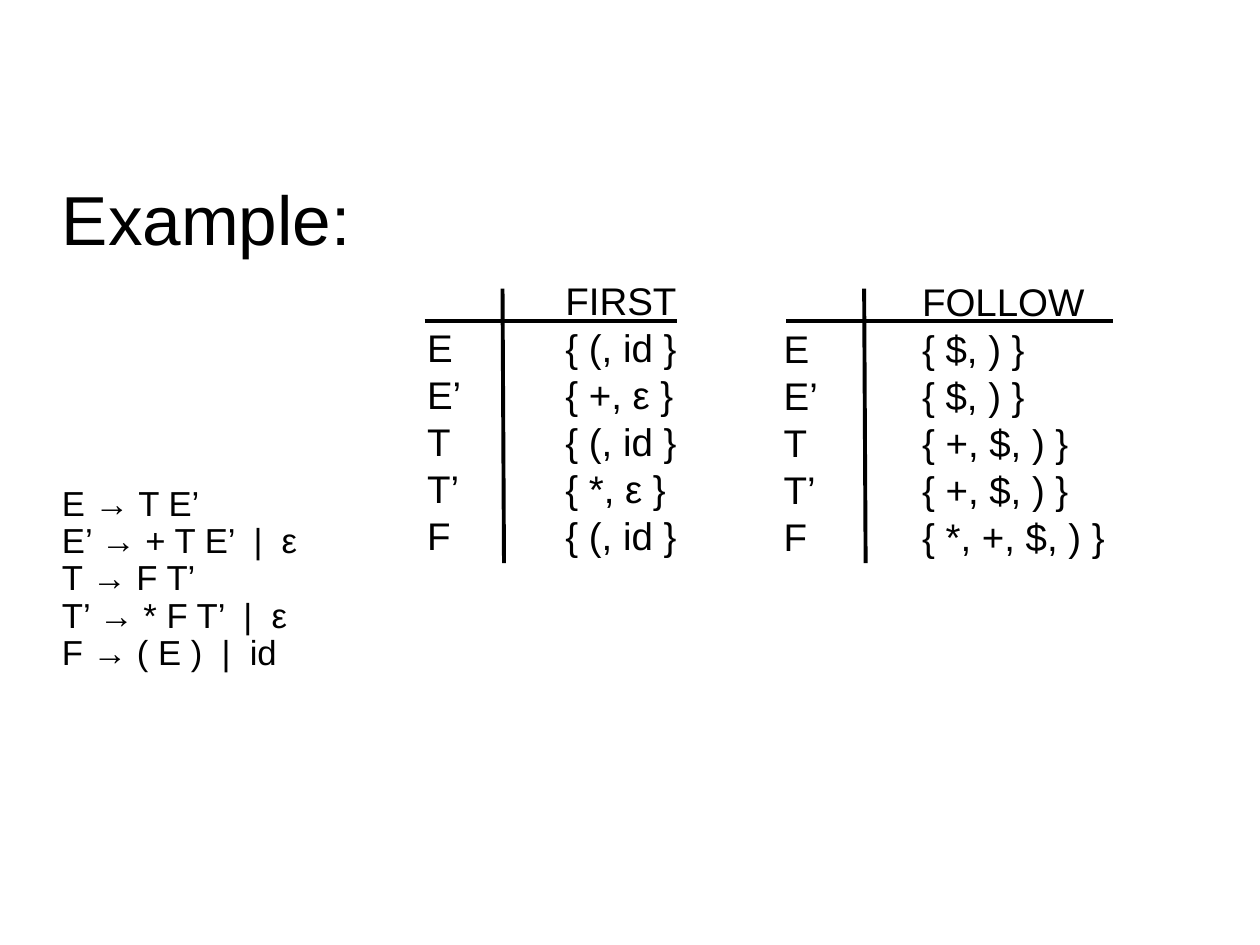
from lxml import etree
from pptx import Presentation
from pptx.dml.color import RGBColor
from pptx.enum.shapes import MSO_CONNECTOR
from pptx.oxml.ns import qn
from pptx.util import Cm, Pt

STRAIGHT = MSO_CONNECTOR.STRAIGHT
BLACK = "000000"
TAB_STOP = Cm(2.79)

GRAMMAR = [
    "E → T E’",
    "E’ → + T E’  |  ε",
    "T → F T’",
    "T’ → * F T’  |  ε",
    "F → ( E )  |  id",
]
NONTERMINALS = ["", "E", "E’", "T", "T’", "F"]
FIRST = ["FIRST", "{ (, id }", "{ +, ε }", "{ (, id }", "{ *, ε }", "{ (, id }"]
FOLLOW = ["FOLLOW", "{ $, ) }", "{ $, ) }", "{ +, $, ) }", "{ +, $, ) }",
          "{ *, +, $, ) }"]

# Box left, top, width; rule left, right; divider x at top and bottom; sets
SET_LISTS = [
    (8.38, 3.56, 6.5, 8.56, 13.64, 10.13, 10.16, FIRST),
    (15.57, 3.58, 8.0, 15.85, 22.43, 17.42, 17.45, FOLLOW),
]

prs = Presentation()
prs.slide_width, prs.slide_height = Cm(25.4), Cm(19.05)
slide = prs.slides.add_slide(prs.slide_layouts[6])


def add_text_frame(left, top, width, height, top_inset):
    frame = slide.shapes.add_textbox(
        Cm(left), Cm(top), Cm(width), Cm(height)).text_frame
    frame.word_wrap = True
    frame.margin_left = frame.margin_right = Cm(0.23)
    frame.margin_top, frame.margin_bottom = Cm(top_inset), Cm(0.1)
    return frame


def add_line(paragraph, text, size, spacing):
    paragraph.line_spacing = spacing
    run = paragraph.add_run()
    run.text = text
    run.font.name = "Arial"
    run.font.size = Pt(size)
    run.font.color.rgb = RGBColor.from_string(BLACK)


example = add_text_frame(1.02, 3.56, 6.5, 10.59, 0.18)
add_line(example.paragraphs[0], "Example:", 39.6, 0.9)
for index, production in enumerate(GRAMMAR):
    paragraph = example.add_paragraph()
    if index == 0:
        paragraph.space_before = Pt(129)
    add_line(paragraph, production, 19.8, 0.9)

for left, top, width, rule_left, rule_right, upper_x, lower_x, sets in SET_LISTS:
    set_list = add_text_frame(left, top, width, 9.47, 2.0)
    for index, (nonterminal, members) in enumerate(zip(NONTERMINALS, sets)):
        paragraph = set_list.add_paragraph() if index else set_list.paragraphs[0]
        tabs = etree.SubElement(paragraph._p.get_or_add_pPr(), qn("a:tabLst"))
        etree.SubElement(tabs, qn("a:tab"), pos=str(TAB_STOP), algn="l")
        add_line(paragraph, f"{nonterminal}\t{members}", 22, Pt(26.9))

    for x1, y1, x2, y2 in [(upper_x, 5.82, lower_x, 11.35),
                           (rule_left, 6.48, rule_right, 6.48)]:
        rule = slide.shapes.add_connector(
            STRAIGHT, Cm(x1), Cm(y1), Cm(x2), Cm(y2))
        rule.line.color.rgb = RGBColor.from_string(BLACK)
        rule.line.width = Pt(2.25)
        etree.SubElement(rule._element.spPr, qn("a:effectLst"))

prs.save("out.pptx")
